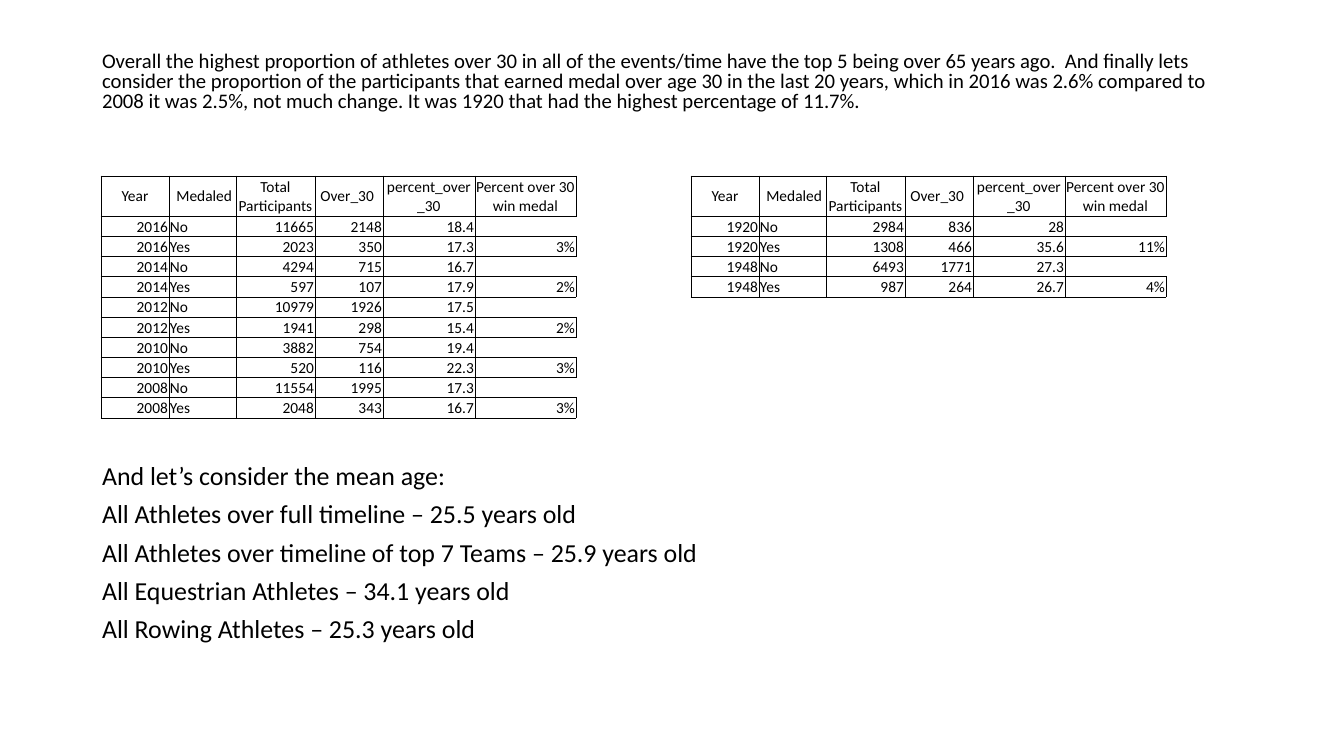
from lxml import etree
from pptx import Presentation
from pptx.dml.color import RGBColor
from pptx.enum.text import MSO_ANCHOR, MSO_AUTO_SIZE, PP_ALIGN
from pptx.oxml.ns import qn
from pptx.util import Emu, Pt

LEFT, CENTER, RIGHT = PP_ALIGN.LEFT, PP_ALIGN.CENTER, PP_ALIGN.RIGHT
TOP, MIDDLE, BOTTOM = MSO_ANCHOR.TOP, MSO_ANCHOR.MIDDLE, MSO_ANCHOR.BOTTOM
NO_AUTOFIT = MSO_AUTO_SIZE.NONE

COLORS = {"text": "000000", "border": "000000"}
FONT = "Calibri"
EMU_PER_PX = 914400 / 100.8
PLAIN_TABLE_STYLE = "{2D5ABB26-0587-4C30-8999-92F81FD0307C}"

# Content
INTRO = (
    "Overall the highest proportion of athletes over 30 in all of the events/time "
    "have the top 5 being over 65 years ago.  And finally lets consider the proportion "
    "of the participants that earned medal over age 30 in the last 20 years, which in "
    "2016 was 2.6% compared to 2008 it was 2.5%, not much change. It was 1920 that had "
    "the highest percentage of 11.7%."
)
MEAN_AGES = [
    "And let’s consider the mean age:",
    "All Athletes over full timeline – 25.5 years old",
    "All Athletes over timeline of top 7 Teams – 25.9 years old",
    "All Equestrian Athletes – 34.1 years old",
    "All Rowing Athletes – 25.3 years old",
]
HEADER = ["Year", " Medaled", "Total Participants", "Over_30 ",
          "percent_over_30", "Percent over 30 win medal"]
RECENT_GAMES = [
    ["2016", "No", "11665", "2148", "18.4", ""],
    ["2016", "Yes", "2023", "350", "17.3", "3%"],
    ["2014", "No", "4294", "715", "16.7", ""],
    ["2014", "Yes", "597", "107", "17.9", "2%"],
    ["2012", "No", "10979", "1926", "17.5", ""],
    ["2012", "Yes", "1941", "298", "15.4", "2%"],
    ["2010", "No", "3882", "754", "19.4", ""],
    ["2010", "Yes", "520", "116", "22.3", "3%"],
    ["2008", "No", "11554", "1995", "17.3", ""],
    ["2008", "Yes", "2048", "343", "16.7", "3%"],
]
EARLY_GAMES = [
    ["1920", "No", "2984", "836", "28", ""],
    ["1920", "Yes", "1308", "466", "35.6", "11%"],
    ["1948", "No", "6493", "1771", "27.3", ""],
    ["1948", "Yes", "987", "264", "26.7", "4%"],
]
COLUMN_WIDTHS = [68, 67, 79, 68, 92, 101]
MEDALED_COLUMN = 1


def px(length):
    return Emu(round(length * EMU_PER_PX))


def apply(target, values):
    for name, value in values.items():
        setattr(target, name, value)


class SlideBuilder:
    """Holds the style and the current slide."""

    def __init__(self, slide):
        self.slide = slide

    def add_text(self, paragraph, text, size, **paragraph_format):
        apply(paragraph, paragraph_format)
        if not text:
            # An empty cell keeps the text size so that its row stays low
            end = etree.SubElement(paragraph._p, qn("a:endParaRPr"))
            end.set("sz", str(size * 100))
            return
        run = paragraph.add_run()
        run.text = text
        apply(run.font, {"name": FONT, "size": Pt(size)})
        run.font.color.rgb = RGBColor.from_string(COLORS["text"])

    def fill_body(self, left, top, width, height, items):
        """Each item is (text, size, space before in points)."""
        body = self.slide.placeholders[1]
        apply(body, {"left": px(left), "top": px(top),
                     "width": px(width), "height": px(height)})
        frame = body.text_frame
        apply(frame, {"word_wrap": True, "auto_size": NO_AUTOFIT, "vertical_anchor": TOP})
        for index, (text, size, space) in enumerate(items):
            paragraph = frame.add_paragraph() if index else frame.paragraphs[0]
            properties = paragraph._p.get_or_add_pPr()
            properties.set("marL", "0")
            properties.set("indent", "0")
            etree.SubElement(properties, qn("a:buNone"))
            self.add_text(paragraph, text, size, alignment=LEFT, line_spacing=0.8,
                          space_before=Pt(space), space_after=Pt(0))

    def draw_borders(self, cell, sides):
        properties = cell._tc.get_or_add_tcPr()
        for index, side in enumerate("LRTB"):
            line = etree.Element(qn(f"a:ln{side}"), w=str(Pt(0.5)))
            if side in sides:
                fill = etree.SubElement(line, qn("a:solidFill"))
                etree.SubElement(fill, qn("a:srgbClr"), val=COLORS["border"])
            else:
                etree.SubElement(line, qn("a:noFill"))
            properties.insert(index, line)

    def add_table(self, left, top, height, rows):
        shape = self.slide.shapes.add_table(
            len(rows), len(HEADER), px(left), px(top), px(sum(COLUMN_WIDTHS)), px(height))
        table = shape.table
        apply(table, {"first_row": False, "horz_banding": False})
        next(shape.element.iter(qn("a:tableStyleId"))).text = PLAIN_TABLE_STYLE
        for column, width in zip(table.columns, COLUMN_WIDTHS):
            column.width = px(width)
        # The header is twice as high as any other row
        unit = height / (len(rows) + 1)
        for row_index, values in enumerate(rows):
            is_header = row_index == 0
            table.rows[row_index].height = px(unit * (2 if is_header else 1))
            for column_index, text in enumerate(values):
                cell = table.cell(row_index, column_index)
                cell.fill.background()
                apply(cell, {"margin_left": px(1), "margin_right": px(1),
                             "margin_top": px(1), "margin_bottom": 0,
                             "vertical_anchor": MIDDLE if is_header else BOTTOM})
                self.draw_borders(cell, "LRTB" if text else "LTB")
                alignment = LEFT if column_index == MEDALED_COLUMN else RIGHT
                self.add_text(cell.text_frame.paragraphs[0], text, 11,
                              alignment=CENTER if is_header else alignment)


def main():
    presentation = Presentation()
    apply(presentation, {"slide_width": px(1344), "slide_height": px(756)})
    slide = presentation.slides.add_slide(presentation.slide_layouts[1])
    title = slide.shapes.title.element
    title.getparent().remove(title)
    builder = SlideBuilder(slide)

    # Introduction above the tables, mean ages below them
    ages = [(text, 18.5, 9.6 if index else 252) for index, text in enumerate(MEAN_AGES)]
    builder.fill_body(92, 48, 1159, 633, [(INTRO, 14.8, 0)] + ages)

    # Tables of recent and early games
    builder.add_table(101, 176, 242, [HEADER] + RECENT_GAMES)
    builder.add_table(691, 176, 121, [HEADER] + EARLY_GAMES)

    presentation.save("out.pptx")


if __name__ == "__main__":
    main()
